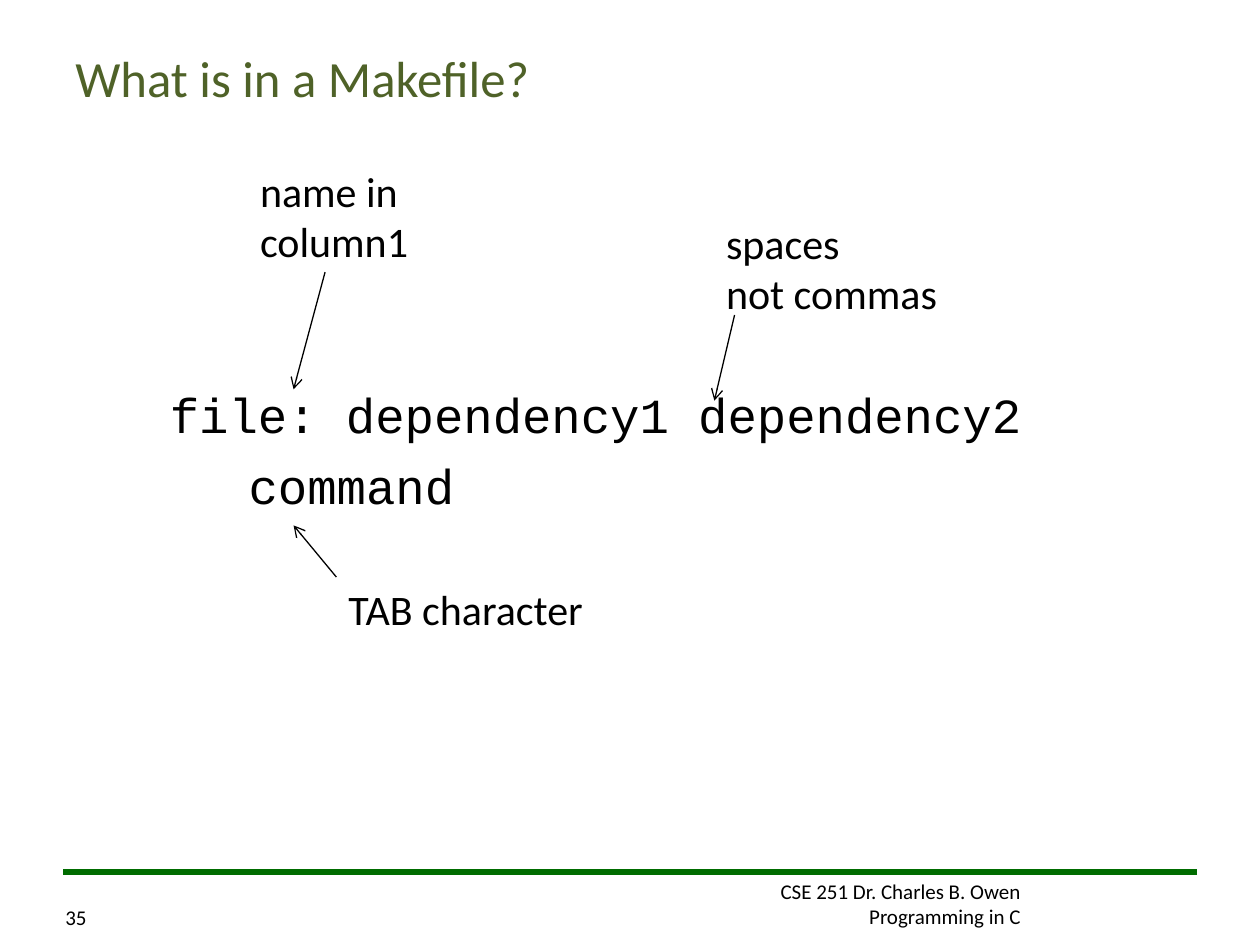
import pptx
import pptx.util
import pptx.dml.color
import pptx.enum.shapes
import pptx.enum.text
import pptx.oxml.ns
from pptx.util import Pt

ALIGN = pptx.enum.text.PP_ALIGN
ANCHOR = pptx.enum.text.MSO_ANCHOR


def rgb(value):
    return pptx.dml.color.RGBColor.from_string(value)


def qn(tag):
    return pptx.oxml.ns.qn(tag)


prs = pptx.Presentation()
prs.slide_width, prs.slide_height = Pt(720), Pt(540)
s = prs.slides.add_slide(prs.slide_layouts[6])

# Text: box, lines, size, font, colour, alignment, anchor
texts = [
    ((347.76, 498.24, 242.64, 36), ["CSE 251 Dr. Charles B. Owen", "Programming in C"],
     12, "Calibri", "000000", ALIGN.RIGHT, ANCHOR.TOP),
    ((30.24, 498.24, 28.8, 36.72), ["35"],
     12, "Calibri", "000000", ALIGN.LEFT, ANCHOR.BOTTOM),
    ((36, 21.6, 648, 44.64), ["What is in a Makefile?"],
     29, "Calibri", "4F6228", ALIGN.LEFT, ANCHOR.MIDDLE),
    ((90, 216, 558, 95.76), ["file: dependency1 dependency2", "\tcommand"],
     28, "Courier New", "000000", ALIGN.LEFT, ANCHOR.TOP),
    ((141.5, 91, 104, 64.8), ["name in", "column1"],
     24, "Calibri", "000000", ALIGN.LEFT, ANCHOR.TOP),
    ((192, 329.76, 234, 36), ["TAB character"],
     24, "Calibri", "000000", ALIGN.LEFT, ANCHOR.TOP),
    ((407.8, 120.5, 142, 64.8), ["spaces", "not commas"],
     24, "Calibri", "000000", ALIGN.LEFT, ANCHOR.TOP),
]
for box, lines, size, font, color, align, anchor in texts:
    sp = s.shapes.add_textbox(*map(Pt, box))
    tf = sp.text_frame
    tf.word_wrap = True
    tf.vertical_anchor = anchor
    for i, line in enumerate(lines):
        p = tf.paragraphs[0] if i == 0 else tf.add_paragraph()
        p.alignment = align
        if font == "Courier New":
            # Hanging indent, so the tab lands on the left margin
            p.space_before = Pt(7)
            pPr = p._p.get_or_add_pPr()
            pPr.set("marL", str(Pt(45)))
            pPr.set("indent", str(-Pt(45)))
        r = p.add_run()
        r.text = line
        r.font.size = Pt(size)
        r.font.name = font
        r.font.color.rgb = rgb(color)

# Lines: start, end, colour, width, arrowhead
connectors = [
    ((684, 498.24), (36, 498.24), "006C00", 3, False),
    ((185.76, 155.52), (167.76, 222.48), "000000", 0.75, True),
    ((419.76, 180), (408.24, 228.96), "000000", 0.75, True),
    ((192.24, 329.76), (167.76, 300.24), "000000", 0.75, True),
]
for start, end, color, width, arrow in connectors:
    c = s.shapes.add_connector(pptx.enum.shapes.MSO_CONNECTOR.STRAIGHT,
                               *map(Pt, start + end))
    c.line.color.rgb = rgb(color)
    c.line.width = Pt(width)
    spPr = c._element.spPr
    if arrow:
        ln = spPr.find(qn("a:ln"))
        ln.append(ln.makeelement(qn("a:tailEnd"), {"type": "arrow"}))
    spPr.append(spPr.makeelement(qn("a:effectLst"), {}))

prs.save("out.pptx")
